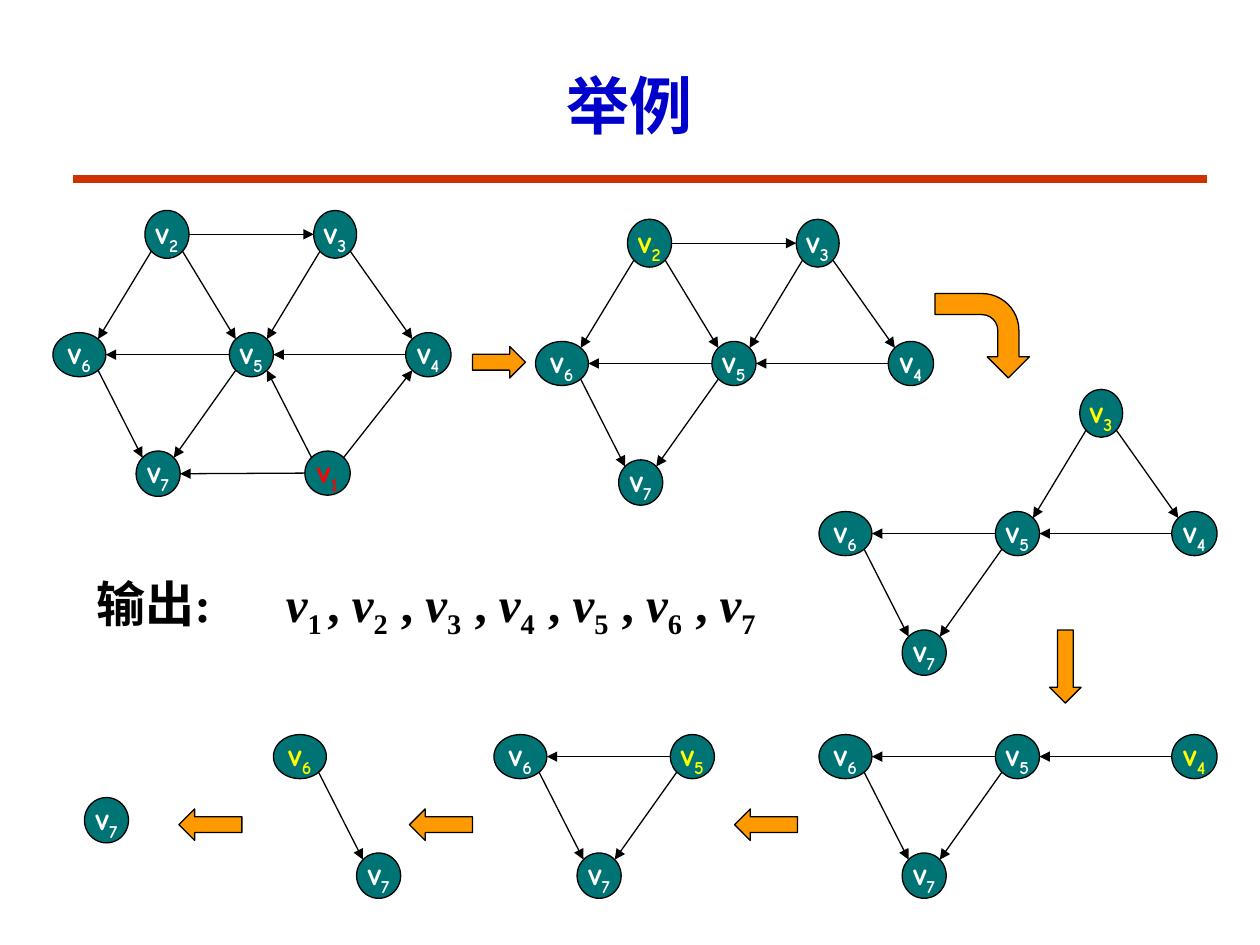
import math

from lxml import etree
from pptx import Presentation
from pptx import util as u
from pptx.dml.color import RGBColor
from pptx.enum import shapes, text
from pptx.oxml.ns import qn

SCALE = 9144  # EMU per px, 100 px to the inch
SERIF = "Times New Roman"
WHITE, YELLOW, RED, BLACK = "FFFFFF", "FFFF00", "FF0000", "000000"

# Left, top, width, height of each vertex inside its graph
VERTICES = {
    1: (200, 191, 36, 35),
    2: (73, 0, 35, 38),
    3: (207, 0, 34, 38),
    4: (280, 97, 36, 35),
    5: (140, 97, 35, 35),
    6: (0, 97, 42, 35),
    7: (66, 191, 35, 36),
}
EDGES = [(2, 6), (2, 5), (2, 3), (3, 4), (4, 5), (1, 4),
         (5, 7), (1, 5), (1, 7), (6, 7), (5, 6), (3, 5)]

# Graph origin, first remaining vertex, colour of that vertex
STAGES = [
    (42, 167, 1, RED),
    (425, 174, 2, YELLOW),
    (650, 309, 3, YELLOW),
    (650, 486, 4, YELLOW),
    (392, 486, 5, YELLOW),
    (217, 486, 6, YELLOW),
    (1, 442, 7, WHITE),
]
KIND = shapes.MSO_SHAPE
STEP_ARROWS = [
    (KIND.RIGHT_ARROW, (375, 275, 42, 25), 0),
    (KIND.BENT_ARROW, (746, 229, 67, 75), 90),
    (KIND.DOWN_ARROW, (833, 500, 25, 58), 0),
    (KIND.LEFT_ARROW, (583, 642, 50, 25), 0),
    (KIND.LEFT_ARROW, (325, 642, 50, 25), 0),
    (KIND.LEFT_ARROW, (142, 642, 50, 25), 0),
]


def px(*values):
    return [u.Emu(round(value * SCALE)) for value in values]


def color(value):
    return RGBColor.from_string(value)


def set_font(font, name, size, fill):
    font.name, font.size, font.bold = name, u.Pt(size), True
    font.color.rgb = color(fill)


def add_subscripted(paragraph, prefix, number, italic=False):
    """Write the prefix, then v with the number as its subscript."""
    if prefix:
        paragraph.add_run().text = prefix
    letter = paragraph.add_run()
    letter.text = "v"
    if italic:
        letter.font.italic = True
    subscript = paragraph.add_run()
    subscript.text = str(number)
    subscript.font._element.set("baseline", "-25000")


def add_filled(parent, kind, box, fill):
    shape = parent.add_shape(kind, *px(*box))
    shape.shadow.inherit = False
    shape.fill.solid()
    shape.fill.fore_color.rgb = color(fill)
    shape.line.color.rgb = color(BLACK)
    shape.line.width = u.Pt(0.75)
    return shape


def add_line(parent, start, end, fill, width, arrow=False):
    line = parent.add_connector(shapes.MSO_CONNECTOR.STRAIGHT, *px(*start, *end))
    line.line.color.rgb = color(fill)
    line.line.width = u.Pt(width)
    if arrow:
        etree.SubElement(line.line._get_or_add_ln(), qn("a:tailEnd"), type="triangle")
    etree.SubElement(line._element.spPr, qn("a:effectLst"))


def add_vertex(parent, box, number, fill):
    shape = add_filled(parent, KIND.OVAL, box, "007374")
    frame = shape.text_frame
    frame.word_wrap = False
    frame.vertical_anchor = text.MSO_ANCHOR.MIDDLE
    paragraph = frame.paragraphs[0]
    paragraph.alignment = text.PP_ALIGN.CENTER
    add_subscripted(paragraph, "", number)
    set_font(paragraph.font, "Comic Neue", 18, fill)


def rim_point(box, across, down):
    """Point on an ellipse in one of eight directions, each given as -1, 0 or 1."""
    left, top, width, height = box
    reach = 0.5 / math.hypot(across, down)
    return left + width * (0.5 + across * reach), top + height * (0.5 + down * reach)


def sign(value):
    return (value > 0) - (value < 0)


def add_graph(slide, left, top, first, first_color):
    """Draw the graph that remains from vertex `first` onwards."""
    parent = slide.shapes.add_group_shape().shapes
    boxes = {number: (left + x, top + y, width, height)
             for number, (x, y, width, height) in VERTICES.items() if number >= first}
    for number, box in boxes.items():
        add_vertex(parent, box, number, first_color if number == first else WHITE)
    for source, target in EDGES:
        if source >= first:
            start, end = boxes[source], boxes[target]
            across, down = sign(end[0] - start[0]), sign(end[1] - start[1])
            add_line(parent, rim_point(start, across, down),
                     rim_point(end, -across, -down), BLACK, 0.75, arrow=True)


def add_text_box(slide, box, wrap=True):
    frame = slide.shapes.add_textbox(*px(*box)).text_frame
    frame.word_wrap = wrap
    return frame


def add_heading(slide, box):
    left, top, width, height = box
    frame = add_text_box(slide, box)
    frame.vertical_anchor = text.MSO_ANCHOR.MIDDLE
    paragraph = frame.paragraphs[0]
    paragraph.text = "举例"
    paragraph.alignment = text.PP_ALIGN.CENTER
    set_font(paragraph.font, SERIF, 36, "0000CC")
    rule = top + height + 9
    add_line(slide.shapes, (left, rule), (left + 900, rule), "CC3300", 4.5)


def add_output(slide, left, top):
    """Write the label and the vertices in the order they are removed."""
    label = add_text_box(slide, (left, top, 158, 67)).paragraphs[0]
    label.text = "输出:"
    set_font(label.font, SERIF, 28, BLACK)
    for index, number in enumerate(VERTICES):
        if index == 0:
            box, prefix = (left + 150, top, 51, 57), ""
        else:
            box, prefix = (left + 183 + 58.4 * (index - 1), top, 70, 57), ", "
        paragraph = add_text_box(slide, box, wrap=False).paragraphs[0]
        add_subscripted(paragraph, prefix, number, italic=True)
        set_font(paragraph.font, SERIF, 28, BLACK)


def main():
    presentation = Presentation()
    presentation.slide_width, presentation.slide_height = px(1000, 750)
    slide = presentation.slides.add_slide(presentation.slide_layouts[6])
    add_heading(slide, (58, 33, 883, 100))
    for stage in STAGES:
        add_graph(slide, *stage)
    for kind, box, rotation in STEP_ARROWS:
        add_filled(slide.shapes, kind, box, "FF9900").rotation = rotation
    add_output(slide, 67, 450)
    presentation.save("out.pptx")


if __name__ == "__main__":
    main()
